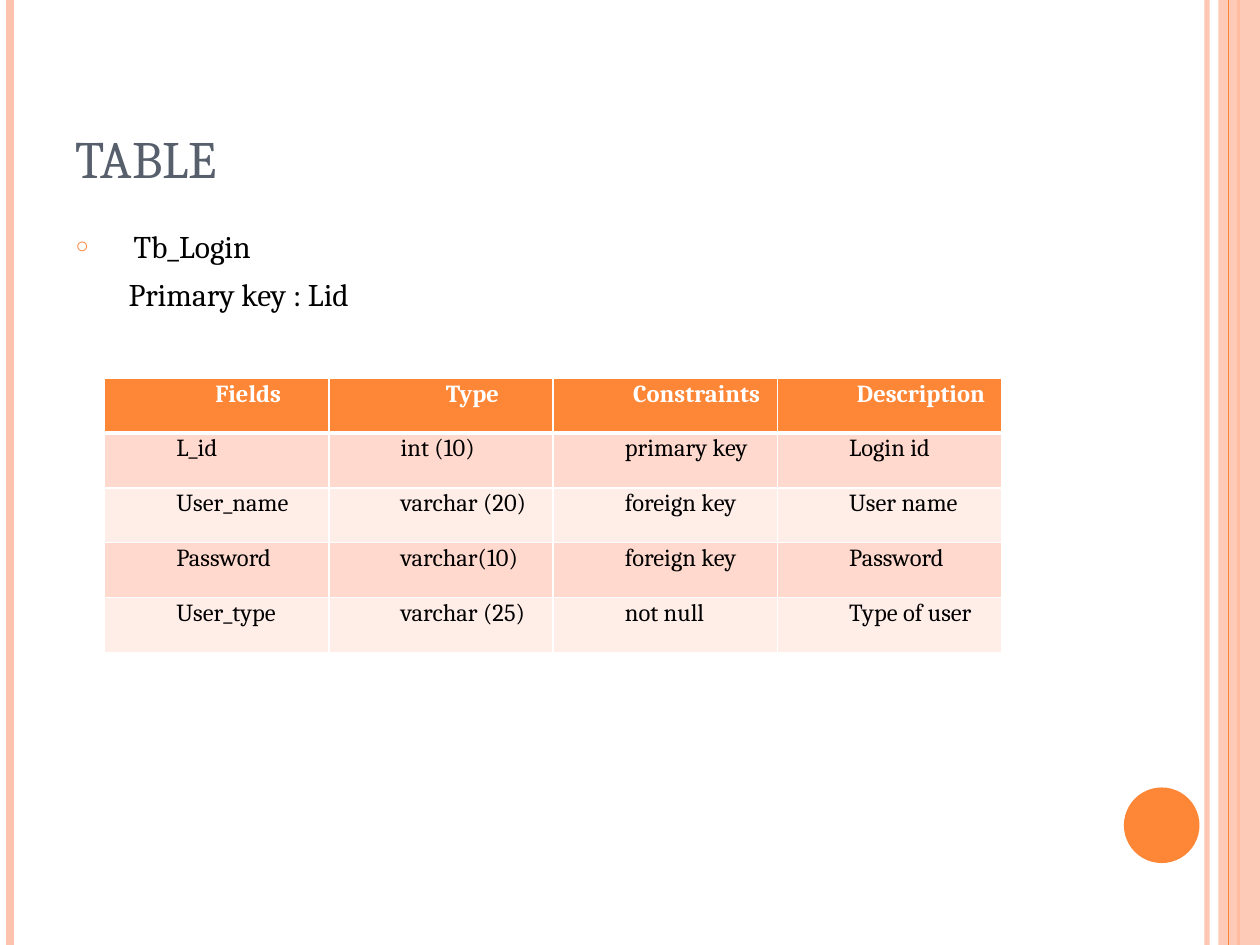
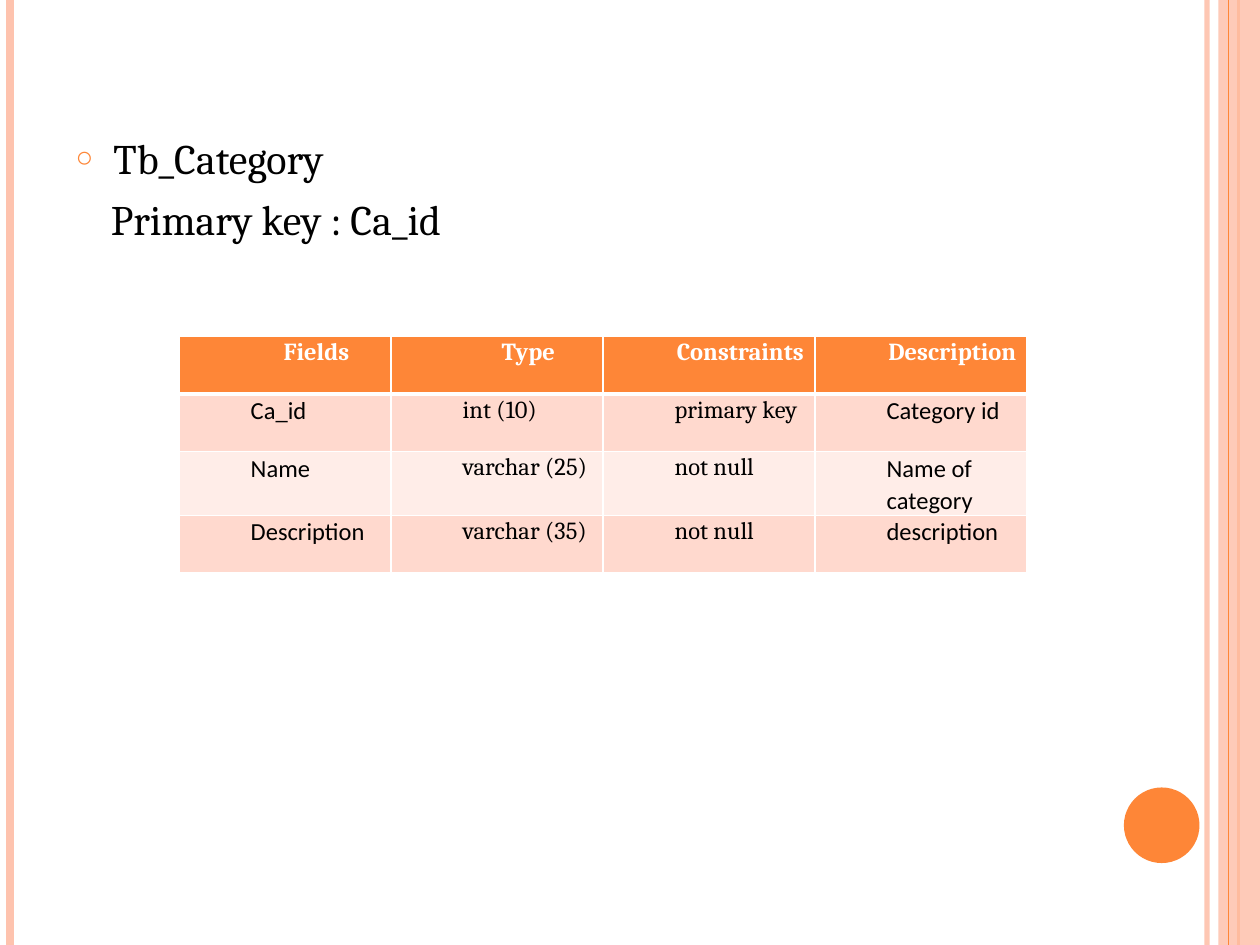
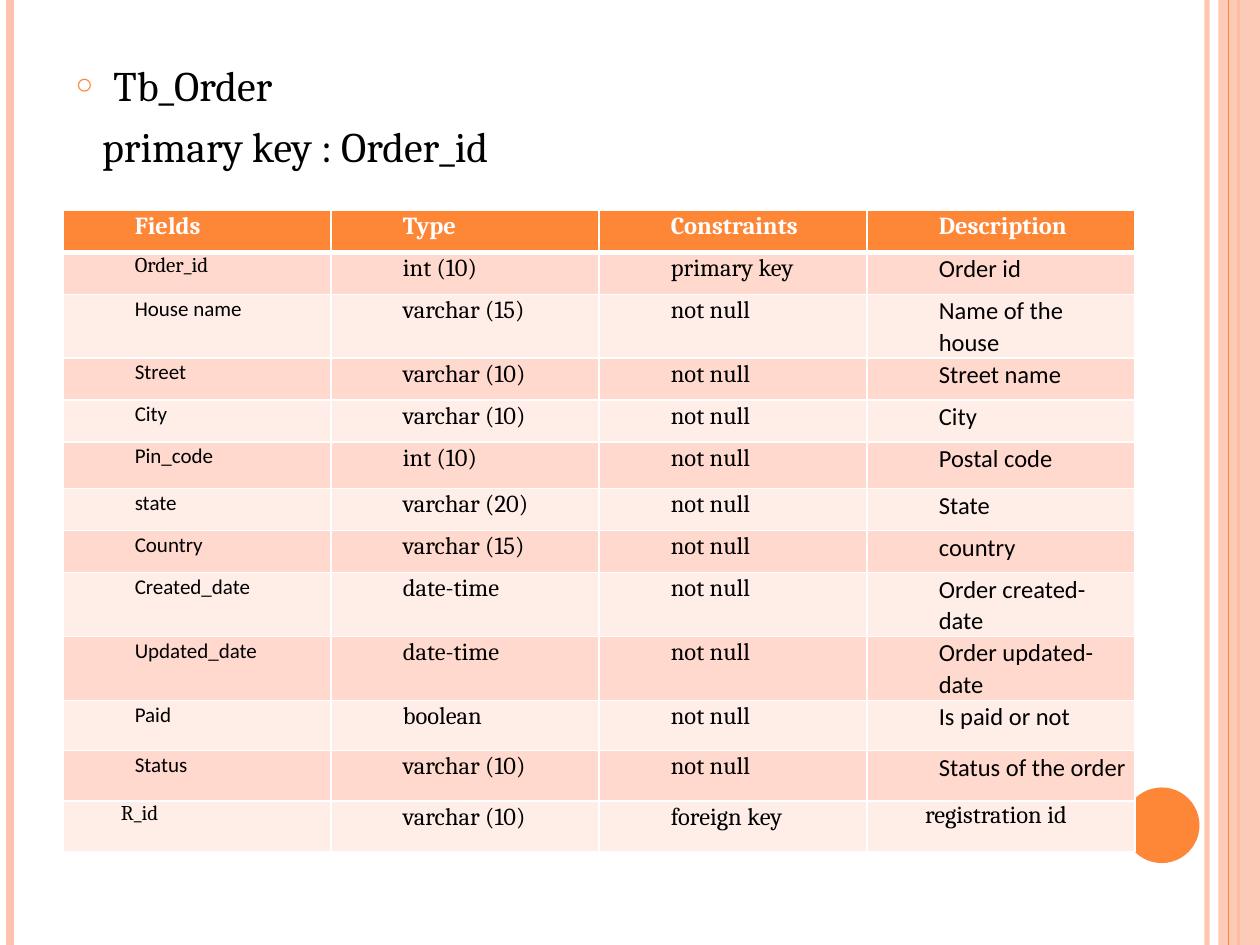
from lxml.etree import SubElement
from pptx import Presentation
from pptx.dml.color import RGBColor
from pptx.enum.shapes import MSO_CONNECTOR, MSO_SHAPE
from pptx.enum.text import MSO_ANCHOR, MSO_AUTO_SIZE, PP_ALIGN
from pptx.oxml.ns import qn
from pptx.util import Inches, Pt

ORANGE, PEACH, SLATE = "FE8637", "FEC3AE", "575F6D"
BLACK, WHITE = "000000", "FFFFFF"
BAND_COLORS = ("FFEDE8", "FFD9CE")
SERIF, SANS = "Cambria", "Calibri"
HEADERS = ("Fields", "Type", "Constraints", "Description")

LOGIN_ROWS = [
    ("L_id", "int (10)", "primary key", "Login id"),
    ("User_name", "varchar (20)", "foreign key", "User name"),
    ("Password", "varchar(10)", "foreign key", "Password"),
    ("User_type", "varchar (25)", "not null", "Type of user"),
]
CATEGORY_ROWS = [
    ("Ca_id", "int (10)", "primary key", "Category id"),
    ("Name", "varchar (25)", "not null", "Name of category"),
    ("Description", "varchar (35)", "not null", "description"),
]
ORDER_ROWS = [
    ("Order_id", "int (10)", "primary key", "Order id"),
    ("House name", "varchar (15)", "not null", "Name of the house"),
    ("Street", "varchar (10)", "not null", "Street name"),
    ("City", "varchar (10)", "not null", "City"),
    ("Pin_code", "int (10)", "not null", "Postal code"),
    ("state", "varchar (20)", "not null", "State"),
    ("Country", "varchar (15)", "not null", "country"),
    ("Created_date", "date-time", "not null", "Order created-date"),
    ("Updated_date", "date-time", "not null", "Order updated-date"),
    ("Paid", "boolean", "not null", "Is paid or not"),
    ("Status", "varchar (10)", "not null", "Status of the order"),
    ("R_id", "varchar (10)", "foreign key", "registration id"),
]


def rgb(color):
    return RGBColor.from_string(color)


def set_alpha(shape, percent):
    """Make the first solid colour of a shape partly transparent."""
    color = shape._element.spPr.find(".//" + qn("a:srgbClr"))
    SubElement(color, qn("a:alpha"), val=str(percent * 1000))


def place(shape, box):
    shape.left, shape.top, shape.width, shape.height = map(Inches, box)


def add_run(paragraph, text, font, size, color, bold=False):
    run = paragraph.add_run()
    run.text = text
    run.font.name, run.font.size, run.font.bold = font, Pt(size), bold
    run.font.color.rgb = rgb(color)
    return run


def set_indent(paragraph, left, first=0):
    properties = paragraph._p.get_or_add_pPr()
    properties.set("marL", str(Inches(left)))
    properties.set("indent", str(Inches(first)))
    return properties


def add_rule(slide, x, color, width):
    rule = slide.shapes.add_connector(
        MSO_CONNECTOR.STRAIGHT, Inches(x), 0, Inches(x), Inches(7.5))
    rule.line.color.rgb = rgb(color)
    rule.line.width = Pt(width)
    SubElement(rule._element.spPr, qn("a:effectLst"))
    return rule


def add_solid(slide, kind, box, color):
    solid = slide.shapes.add_shape(kind, *map(Inches, box))
    solid.shadow.inherit = False
    solid.fill.solid()
    solid.fill.fore_color.rgb = rgb(color)
    solid.line.fill.background()
    return solid


def decorate_master(presentation, slide):
    """Draw the side bands and circle, then move them to the slide master."""
    inner_rule = add_rule(slide, 9.58, PEACH, 3)
    set_alpha(inner_rule, 93)
    left_rule = add_rule(slide, 0.08, PEACH, 4.5)
    covered_rule = add_rule(slide, 9.83, ORANGE, 1.5)
    band = add_solid(slide, MSO_SHAPE.RECTANGLE, (9.67, 0, 0.33, 7.5), PEACH)
    set_alpha(band, 87)
    outer_rule = add_rule(slide, 9.75, ORANGE, 0.75)
    circle = add_solid(slide, MSO_SHAPE.OVAL, (8.92, 6.25, 0.6, 0.6), ORANGE)
    parts = (inner_rule, left_rule, covered_rule, band, outer_rule, circle)
    for number, part in enumerate(parts, 100):
        part._element.xpath(".//p:cNvPr")[0].set("id", str(number))
        presentation.slide_master.shapes._spTree.append(part._element)


def fill_title(slide, text, box):
    title = slide.shapes.title
    place(title, box)
    frame = title.text_frame
    frame.auto_size = MSO_AUTO_SIZE.NONE
    frame.vertical_anchor = MSO_ANCHOR.BOTTOM
    paragraph = frame.paragraphs[0]
    paragraph.alignment = PP_ALIGN.LEFT
    run = add_run(paragraph, text, SERIF, 30, SLATE)
    run._r.get_or_add_rPr().set("cap", "small")


def fill_body(slide, name, key, box, size, name_indent, key_indent):
    """Write the bulleted table name and, below it, its primary key."""
    body = slide.placeholders[1]
    place(body, box)
    frame = body.text_frame
    frame.auto_size = MSO_AUTO_SIZE.NONE
    name_line, key_line = frame.paragraphs[0], frame.add_paragraph()
    for paragraph, text in ((name_line, name), (key_line, key)):
        paragraph.space_before = Pt(6)
        add_run(paragraph, text, SERIF, size, BLACK)
    properties = set_indent(name_line, name_indent, -name_indent)
    bullet_color = SubElement(properties, qn("a:buClr"))
    SubElement(bullet_color, qn("a:srgbClr"), val=ORANGE)
    SubElement(properties, qn("a:buSzPct"), val="70000")
    SubElement(properties, qn("a:buChar"), char="○")
    SubElement(set_indent(key_line, key_indent), qn("a:buNone"))


def set_borders(cell, top, bottom):
    properties = cell._tc.get_or_add_tcPr()
    for side, width in (("L", 1), ("R", 1), ("T", top), ("B", bottom)):
        line = SubElement(properties, qn("a:ln" + side), w=str(Pt(width)))
        fill = SubElement(line, qn("a:solidFill"))
        SubElement(fill, qn("a:srgbClr"), val=WHITE)


def fill_cell(cell, text, color, font=SERIF, size=14, text_color=BLACK, bold=False,
              alignment=PP_ALIGN.LEFT, indent=0.5, spacing=1.07, before=0):
    cell.margin_left = cell.margin_right = Inches(0.07)
    cell.margin_top = cell.margin_bottom = 0
    cell.fill.solid()
    cell.fill.fore_color.rgb = rgb(color)
    paragraph = cell.text_frame.paragraphs[0]
    paragraph.alignment = alignment
    paragraph.line_spacing = spacing
    paragraph.space_before = Pt(before)
    set_indent(paragraph, indent)
    add_run(paragraph, text, font, size, text_color, bold)


def add_field_table(slide, rows, box, row_heights=None, header_alignment=PP_ALIGN.CENTER,
                    column_styles=None, cell_styles=None):
    """Add a banded table; styles by (row, column) go before those by column."""
    column_styles, cell_styles = column_styles or {}, cell_styles or {}
    table = slide.shapes.add_table(
        len(rows) + 1, len(HEADERS), *map(Inches, box)).table
    for column in table.columns:
        column.width = Inches(box[2] / len(HEADERS))
    for index, height in enumerate(row_heights or []):
        table.rows[index].height = Inches(height)
    for row, texts in enumerate([HEADERS, *rows]):
        for column, text in enumerate(texts):
            cell = table.cell(row, column)
            set_borders(cell, 3 if row == 1 else 1, 3 if row == 0 else 1)
            if row == 0:
                fill_cell(cell, text, ORANGE, text_color=WHITE, bold=True,
                          alignment=header_alignment)
            else:
                style = column_styles.get(column, {})
                style = cell_styles.get((row, column), style)
                fill_cell(cell, text, BAND_COLORS[row % 2], **style)


def add_content_slide(presentation, title=None):
    slide = presentation.slides.add_slide(presentation.slide_layouts[1])
    if title:
        fill_title(slide, title, (0.5, 0.3, 8.17, 1.25))
    else:
        heading = slide.shapes.title._element
        heading.getparent().remove(heading)
    return slide


def main():
    presentation = Presentation()
    presentation.slide_width, presentation.slide_height = Inches(10), Inches(7.5)

    login = add_content_slide(presentation, "TABLE")
    decorate_master(presentation, login)
    fill_body(login, "Tb_Login", "Primary key : Lid", (0.5, 1.75, 7.92, 1.42), 18, 0.46, 0.42)
    add_field_table(login, LOGIN_ROWS, (0.83, 3, 7.12, 2.18))

    category = add_content_slide(presentation)
    fill_body(category, "Tb_Category", "Primary key : Ca_id", (0.5, 1, 8.17, 1.17), 24, 0.3, 0.28)
    add_field_table(category, CATEGORY_ROWS, (1.42, 2.67, 6.73, 1.83),
                    column_styles={0: {"font": SANS}, 3: {"font": SANS}})

    order = add_content_slide(presentation)
    fill_body(order, "Tb_Order", "primary key : Order_id", (0.5, 0.42, 8.17, 1.5), 24, 0.3, 0.21)
    add_field_table(
        order, ORDER_ROWS, (0.5, 1.67, 8.51, 4.8),
        row_heights=[1 / 3] * 5 + [0.37] + [1 / 3] * 2 + [0.4] * 5,
        header_alignment=PP_ALIGN.LEFT,
        column_styles={0: {"font": SANS, "size": 12}, 3: {"font": SANS}},
        cell_styles={
            (1, 0): {"size": 12},
            (12, 0): {"size": 12, "indent": 0.39, "spacing": 1, "before": 4},
            (12, 3): {"indent": 0.39, "spacing": 1},
        })

    presentation.save("out.pptx")


if __name__ == "__main__":
    main()
